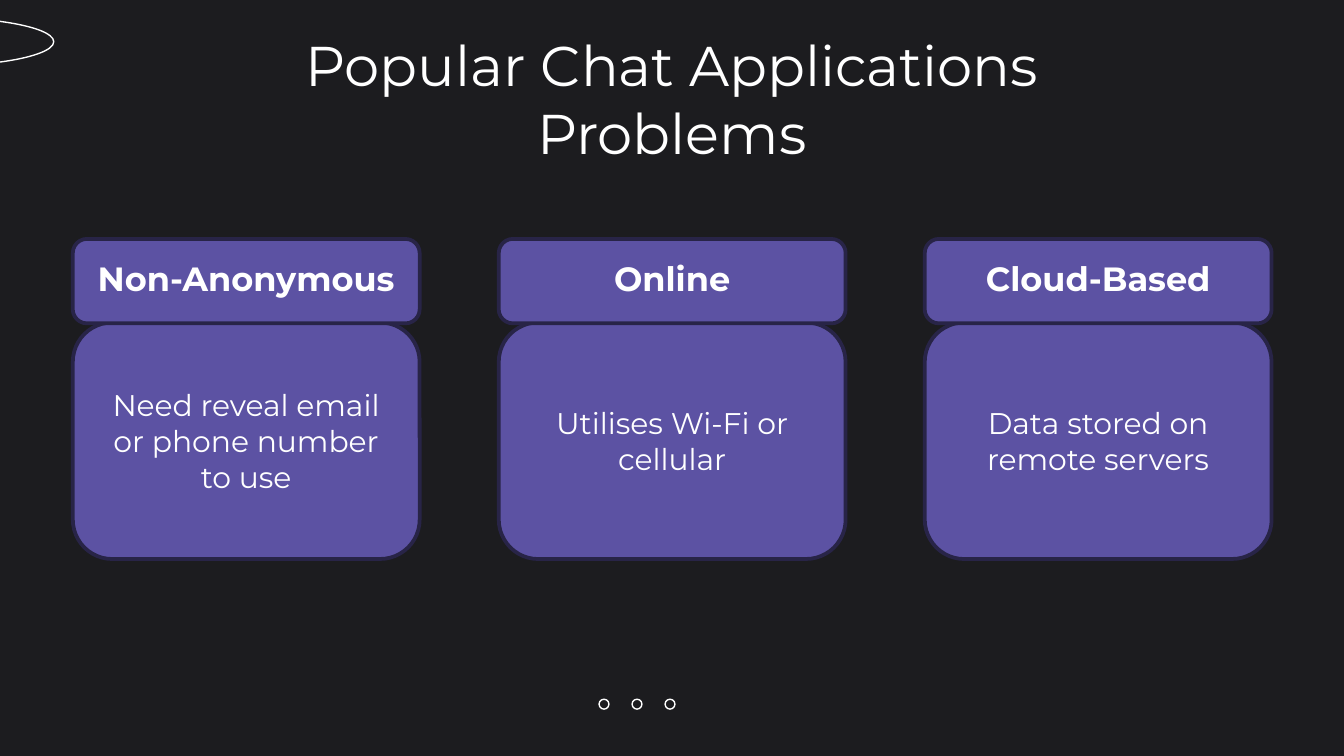
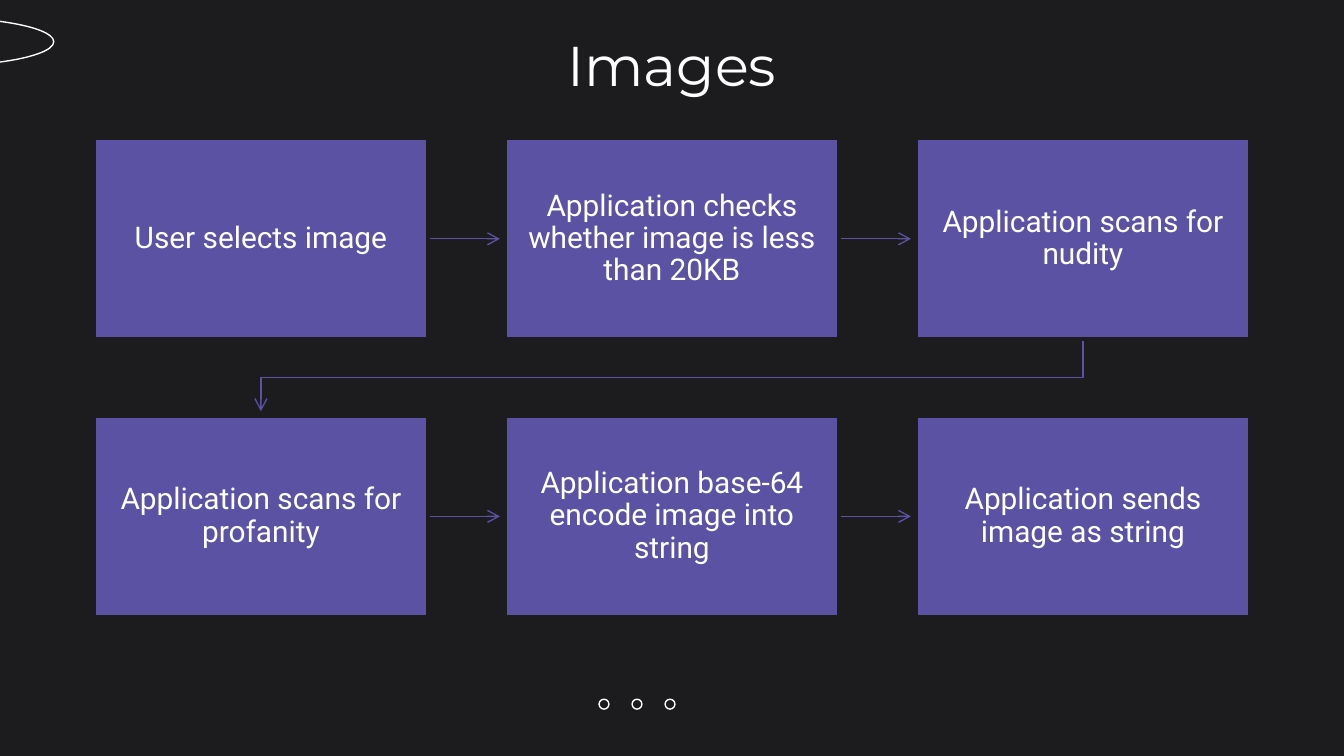
from lxml import etree
from pptx import Presentation
from pptx.dml.color import RGBColor
from pptx.enum.shapes import MSO_CONNECTOR, MSO_SHAPE
from pptx.enum.text import MSO_ANCHOR, PP_ALIGN
from pptx.oxml.ns import qn
from pptx.util import Pt

OVAL, RECT, ROUND = MSO_SHAPE.OVAL, MSO_SHAPE.RECTANGLE, MSO_SHAPE.ROUNDED_RECTANGLE
LINE = MSO_CONNECTOR.STRAIGHT
TOP, MIDDLE = MSO_ANCHOR.TOP, MSO_ANCHOR.MIDDLE
CENTER = PP_ALIGN.CENTER

COLORS = {"back": "1C1C1F", "white": "FFFFFF", "violet": "5C52A3", "edge": "282447"}

# Font settings, then paragraph settings
TITLE = ({"name": "Montserrat", "size": Pt(30)}, {})
HEAD = ({"name": "Montserrat", "size": Pt(18), "bold": True}, {})
BODY = ({"name": "Montserrat", "size": Pt(16)}, {})
STEP = ({"name": "Roboto", "size": Pt(16)},
        {"line_spacing": 0.9, "space_after": Pt(5.6)})

CARDS = [
    ("Non-Anonymous", "Need reveal email or phone number to use"),
    ("Online", "Utilises Wi-Fi or cellular"),
    ("Cloud-Based", "Data stored on remote servers"),
]
STEPS = [
    ["User selects image",
     "Application checks whether image is less than 20KB",
     "Application scans for nudity"],
    ["Application scans for profanity",
     "Application base-64 encode image into string",
     "Application sends image as string"],
]
CARD_X, CARD_W, CARD_DX = 39, 185.8, 228.2
STEP_X, STEP_Y, STEP_W, STEP_H = 50.2, 74.2, 179.2, 107.5
STEP_DX, STEP_DY = 220.2, 148.7
TIP_GAP = 2.6


def rgb(name):
    return RGBColor.from_string(COLORS[name])


def assign(target, values):
    for key, value in values.items():
        setattr(target, key, value)


def write(shape, text, style, inset, anchor=MIDDLE):
    """Fill a shape with one centred paragraph; inset is left, top, right, bottom."""
    font, layout = style
    frame = shape.text_frame
    sides = ("margin_left", "margin_top", "margin_right", "margin_bottom")
    assign(frame, {side: Pt(size) for side, size in zip(sides, inset)})
    assign(frame, {"word_wrap": True, "vertical_anchor": anchor, "text": text})
    para = frame.paragraphs[0]
    assign(para, {"alignment": CENTER, **layout})
    assign(para.font, font)
    para.font.color.rgb = rgb("white")


def stroke(shape, color, width):
    shape.line.color.rgb = rgb(color)
    shape.line.width = Pt(width)


def draw(slide, kind, box, line, width, fill=None):
    shape = slide.shapes.add_shape(kind, *map(Pt, box))
    shape.shadow.inherit = False
    if fill:
        shape.fill.solid()
        shape.fill.fore_color.rgb = rgb(fill)
    else:
        shape.fill.background()
    stroke(shape, line, width)
    return shape


def point(shape):
    """Style a line as a flow arrow with an open head at its end."""
    stroke(shape, "violet", 0.75)
    line = shape.element.spPr.find(qn("a:ln"))
    etree.SubElement(line, qn("a:tailEnd"), type="arrow")


def arrow(slide, left, right, y):
    link = slide.shapes.add_connector(LINE, Pt(left), Pt(y), Pt(right), Pt(y))
    point(link)
    etree.SubElement(link.element.spPr, qn("a:effectLst"))


def elbow(slide, spots):
    first, *rest = [(Pt(x), Pt(y)) for x, y in spots]
    maker = slide.shapes.build_freeform(*first)
    maker.add_line_segments(rest, close=False)
    shape = maker.convert_to_shape()
    shape.shadow.inherit = False
    shape.fill.background()
    point(shape)


def start(deck, title):
    """Add a slide with the shared background, ornaments and title."""
    slide = deck.slides.add_slide(deck.slide_layouts[6])
    back = slide.background.fill
    back.solid()
    back.fore_color.rgb = rgb("back")
    draw(slide, OVAL, (-97.2, 9.4, 126, 25.9), "white", 0.75)
    for i in range(3):
        draw(slide, OVAL, (320.9 + 17.7 * i, 374.6, 5.3, 5.3), "white", 0.75)
    box = slide.shapes.add_textbox(Pt(56.7), Pt(9.4), Pt(606.6), Pt(45.4))
    write(box, title, TITLE, (7.2,) * 4, TOP)
    return slide


def card(slide, x, head, body):
    box = draw(slide, ROUND, (x, 172.8, CARD_W, 126.7), "edge", 2, "violet")
    write(box, body, BODY, (6, 3.6, 6, 3.6))
    box = draw(slide, ROUND, (x, 128, CARD_W, 45.2), "edge", 2, "violet")
    write(box, head, HEAD, (6, 3.6, 6, 6.6))


def step(slide, x, y, text):
    box = draw(slide, RECT, (x, y, STEP_W, STEP_H), "back", 2, "violet")
    write(box, text, STEP, (8.8, 9.2, 8.8, 9.2))


def flow(slide):
    last = len(STEPS[0]) - 1
    for row, texts in enumerate(STEPS):
        y = STEP_Y + row * STEP_DY
        for col, text in enumerate(texts):
            x = STEP_X + col * STEP_DX
            if col < last:
                arrow(slide, x + STEP_W, x + STEP_DX - TIP_GAP, y + STEP_H / 2)
            step(slide, x, y, text)
    left = STEP_X + STEP_W / 2
    right = left + last * STEP_DX
    base, next_y = STEP_Y + STEP_H, STEP_Y + STEP_DY
    mid = (base + next_y) / 2
    elbow(slide, [(right, base + 1), (right, mid), (left, mid),
                  (left, next_y - TIP_GAP)])


def main():
    deck = Presentation()
    deck.slide_width, deck.slide_height = Pt(720), Pt(405)
    slide = start(deck, "Popular Chat Applications\vProblems")
    for i, (head, body) in enumerate(CARDS):
        card(slide, CARD_X + i * CARD_DX, head, body)
    flow(start(deck, "Images"))
    deck.save("out.pptx")


if __name__ == "__main__":
    main()
